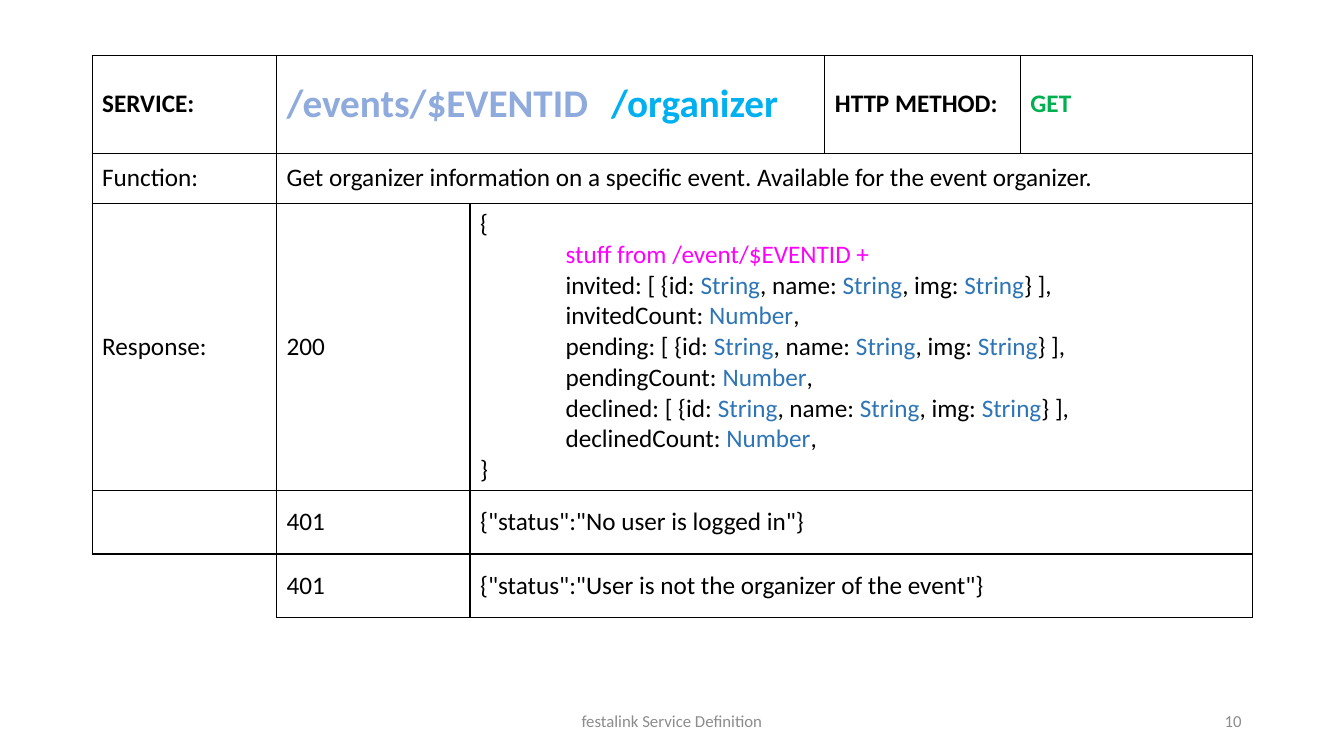
from dataclasses import dataclass

from lxml.etree import SubElement
from pptx import Presentation
from pptx.dml.color import RGBColor as Color
from pptx.enum.text import MSO_ANCHOR as Anchor, PP_ALIGN as Align
from pptx.oxml.ns import qn
from pptx.util import Pt


@dataclass(frozen=True)
class Theme:
    font: str = "Calibri"
    ink: str = "000000"
    paper: str = "FFFFFF"
    footer: str = "8C8C8C"
    event_path: str = "8FAADC"
    organizer_path: str = "00B0F0"
    method: str = "00B050"
    inherited: str = "FF00FF"
    type_name: str = "2E75B6"
    body_size: int = 18
    path_size: int = 28
    footer_size: int = 12
    border_width: int = 1
    code_indent: float = 61
    no_style: str = "{2D5ABB26-0587-4C30-8999-92F81FD0307C}"


@dataclass(frozen=True)
class Cell:
    column: int
    lines: tuple = ()
    span: int = 1
    size: int = Theme.body_size
    bold: bool = False
    borders: str = "LRTB"


@dataclass(frozen=True)
class Line:
    runs: tuple
    indent: float = 0


def plain(text, color=Theme.ink):
    return (Line(((text, color),)),)


def code(*runs):
    return Line(runs, Theme.code_indent)


def people_field(name):
    kind = ("String", Theme.type_name)
    return code(
        (f"{name}: [ {{id: ", Theme.ink), kind,
        (", name: ", Theme.ink), kind,
        (", img: ", Theme.ink), kind,
        ("} ],", Theme.ink),
    )


def count_field(name):
    return code(
        (f"{name}Count: ", Theme.ink),
        ("Number", Theme.type_name),
        (",", Theme.ink),
    )


class SlideBuilder:
    def __init__(self, slide, theme):
        self.slide = slide
        self.theme = theme

    def set_line(self, para, line, size, bold=False):
        font = para.font
        font.name = self.theme.font
        font.size = Pt(size)
        font.bold = bold
        colors = {color for _, color in line.runs}
        if len(colors) == 1:
            font.color.rgb = Color.from_string(colors.pop())
        for text, color in line.runs:
            span = para.add_run()
            span.text = text
            if len(line.runs) > 1:
                span.font.color.rgb = Color.from_string(color)
        if line.indent:
            properties = para._p.get_or_add_pPr()
            properties.set("marL", str(Pt(line.indent)))
            properties.set("indent", "0")

    def text(self, text, left, top, width, height, align):
        box = self.slide.shapes.add_textbox(Pt(left), Pt(top), Pt(width), Pt(height))
        frame = box.text_frame
        frame.word_wrap = True
        frame.vertical_anchor = Anchor.MIDDLE
        para = frame.paragraphs[0]
        para.alignment = align
        self.set_line(para, plain(text, self.theme.footer)[0], self.theme.footer_size)

    def border(self, cell, sides):
        properties = cell._tc.get_or_add_tcPr()
        for side in "LRTB":
            edge = SubElement(properties, qn(f"a:ln{side}"))
            if side in sides:
                edge.set("w", str(Pt(self.theme.border_width)))
                fill = SubElement(edge, qn("a:solidFill"))
                SubElement(fill, qn("a:srgbClr")).set("val", self.theme.ink)
            else:
                SubElement(edge, qn("a:noFill"))

    def fill_cell(self, cell, entry):
        cell.vertical_anchor = Anchor.MIDDLE
        self.border(cell, entry.borders)
        cell.fill.solid()
        cell.fill.fore_color.rgb = Color.from_string(self.theme.paper)
        frame = cell.text_frame
        for index, line in enumerate(entry.lines):
            para = frame.add_paragraph() if index else frame.paragraphs[0]
            self.set_line(para, line, entry.size, entry.bold)

    def table(self, left, top, widths, heights, rows):
        frame = self.slide.shapes.add_table(
            len(heights), len(widths), Pt(left), Pt(top), Pt(sum(widths)), Pt(sum(heights))
        )
        table = frame.table
        table.first_row = False
        table.horz_banding = False
        table._tbl.tblPr.find(qn("a:tableStyleId")).text = self.theme.no_style
        for column, width in zip(table.columns, widths):
            column.width = Pt(width)
        for row, height in zip(table.rows, heights):
            row.height = Pt(height)
        for row_index, entries in enumerate(rows):
            for entry in entries:
                cell = table.cell(row_index, entry.column)
                if entry.span > 1:
                    cell.merge(table.cell(row_index, entry.column + entry.span - 1))
                self.fill_cell(cell, entry)


def service_rows(theme):
    fields = [
        field(name)
        for name in ("invited", "pending", "declined")
        for field in (people_field, count_field)
    ]
    response = (
        *plain("{"),
        code(("stuff from /event/$EVENTID +", theme.inherited)),
        *fields,
        *plain("}"),
    )
    return [
        [
            Cell(0, plain("SERVICE:"), bold=True),
            Cell(1, plain("/events/$EVENTID", theme.event_path), 2,
                 theme.path_size, True, "LTB"),
            Cell(3, plain("/organizer", theme.organizer_path),
                 size=theme.path_size, bold=True, borders="RTB"),
            Cell(4, plain("HTTP METHOD:"), bold=True),
            Cell(5, plain("GET", theme.method), bold=True),
        ],
        [
            Cell(0, plain("Function:")),
            Cell(1, plain("Get organizer information on a specific event. "
                          "Available for the event organizer."), 5),
        ],
        [Cell(0, plain("Response:")), Cell(1, plain("200")), Cell(2, response, 4)],
        [
            Cell(0),
            Cell(1, plain("401")),
            Cell(2, plain('{"status":"No user is logged in"}'), 4),
        ],
        [
            Cell(0, borders="TR"),
            Cell(1, plain("401")),
            Cell(2, plain('{"status":"User is not the organizer of the event"}'), 4),
        ],
    ]


def main():
    deck = Presentation()
    deck.slide_width, deck.slide_height = Pt(960), Pt(540)
    page = deck.slides.add_slide(deck.slide_layouts[6])
    theme = Theme()
    builder = SlideBuilder(page, theme)
    builder.table(
        65.8, 39.6,
        widths=[131.8, 138.2, 93.6, 159.8, 139.7, 165.6],
        heights=[69.8, 36, 204.9, 45.4, 45.4],
        rows=service_rows(theme),
    )
    builder.text("festalink Service Definition", 318, 500.5, 324, 28.8, Align.CENTER)
    builder.text("10", 678, 500.5, 216, 28.8, Align.RIGHT)
    deck.save("out.pptx")


if __name__ == "__main__":
    main()
